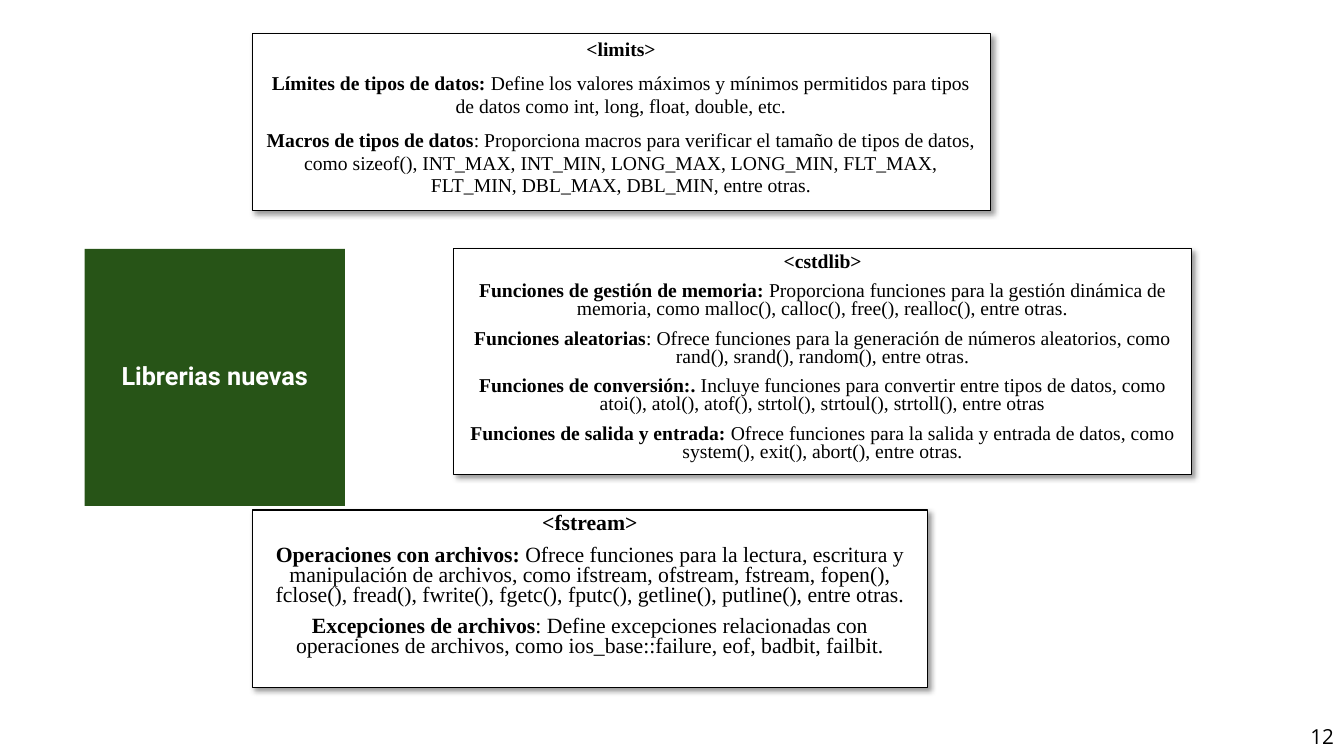
from lxml import etree
from pptx import Presentation
from pptx.dml.color import RGBColor
from pptx.enum import shapes, text
from pptx.oxml import ns
from pptx.util import Inches, Pt

COLORS = {"ink": "000000", "paper": "FFFFFF", "green": "275417"}
SERIF = "Times New Roman"
BOX_LEFT = 2.5
BOX_WIDTH = 7.32

LIBRARIES = [
    {
        "place": (BOX_LEFT, 0.33, BOX_WIDTH, 1.76),
        "size": 14,
        "spacing": 0.97,
        "entries": [
            ("<limits>", ""),
            ("Límites de tipos de datos: ",
             "Define los valores máximos y mínimos permitidos para tipos de datos "
             "como int, long, float, double, etc."),
            ("Macros de tipos de datos",
             ": Proporciona macros para verificar el tamaño de tipos de datos, como "
             "sizeof(), INT_MAX, INT_MIN, LONG_MAX, LONG_MIN, FLT_MAX, FLT_MIN, "
             "DBL_MAX, DBL_MIN, entre otras."),
        ],
    },
    {
        "place": (4.5, 2.47, BOX_WIDTH, 2.24),
        "size": 14,
        "spacing": 0.77,
        "entries": [
            ("<cstdlib>", ""),
            ("Funciones de gestión de memoria: ",
             "Proporciona funciones para la gestión dinámica de memoria, como "
             "malloc(), calloc(), free(), realloc(), entre otras."),
            ("Funciones aleatorias",
             ": Ofrece funciones para la generación de números aleatorios, como "
             "rand(), srand(), random(), entre otras."),
            ("Funciones de conversión:.",
             " Incluye funciones para convertir entre tipos de datos, como atoi(), "
             "atol(), atof(), strtol(), strtoul(), strtoll(), entre otras"),
            ("Funciones de salida y entrada: ",
             "Ofrece funciones para la salida y entrada de datos, como system(), "
             "exit(), abort(), entre otras."),
        ],
    },
    {
        "place": (BOX_LEFT, 5.06, 6.7, 1.76),
        "size": 15.5,
        "spacing": 0.77,
        "entries": [
            ("<fstream>", ""),
            ("Operaciones con archivos: ",
             "Ofrece funciones para la lectura, escritura y manipulación de archivos, "
             "como ifstream, ofstream, fstream, fopen(), fclose(), fread(), fwrite(), "
             "fgetc(), fputc(), getline(), putline(), entre otras."),
            ("Excepciones de archivos",
             ": Define excepciones relacionadas con operaciones de archivos, como "
             "ios_base::failure, eof, badbit, failbit."),
        ],
    },
]


def color(name):
    return RGBColor.from_string(COLORS[name])


def apply_format(target, values):
    for name, value in values.items():
        setattr(target, name, value)


def add_run(paragraph, content, font_name, size, color_name, bold=False):
    run = paragraph.add_run()
    run.text = content
    apply_format(run.font, {"name": font_name, "size": Pt(size), "bold": bold})
    run.font.color.rgb = color(color_name)


def add_rectangle(slide, place, fill_name):
    shape = slide.shapes.add_shape(
        shapes.MSO_SHAPE.RECTANGLE, *(Inches(length) for length in place))
    shape.shadow.inherit = False
    shape.fill.solid()
    shape.fill.fore_color.rgb = color(fill_name)
    shape.line.fill.background()
    return shape


def add_shadow(shape):
    effects = shape._element.spPr.find(ns.qn("a:effectLst"))
    shadow = etree.SubElement(
        effects, ns.qn("a:outerShdw"), blurRad=str(Pt(4)), dist=str(Pt(3)),
        dir=str(45 * 60000), algn="tl", rotWithShape="0")
    shade = etree.SubElement(shadow, ns.qn("a:srgbClr"), val=COLORS["ink"])
    etree.SubElement(shade, ns.qn("a:alpha"), val="40000")


def add_library_box(slide, place, size, spacing, entries):
    box = add_rectangle(slide, place, "paper")
    box.line.color.rgb = color("ink")
    box.line.width = Pt(0.75)
    add_shadow(box)
    frame = box.text_frame
    apply_format(frame, {"word_wrap": True, "vertical_anchor": text.MSO_ANCHOR.TOP})
    for index, (term, description) in enumerate(entries):
        paragraph = frame.add_paragraph() if index else frame.paragraphs[0]
        apply_format(paragraph, {"alignment": text.PP_ALIGN.CENTER,
                                 "line_spacing": spacing, "space_after": Pt(8)})
        add_run(paragraph, term, SERIF, size, "ink", bold=True)
        if description:
            add_run(paragraph, description, SERIF, size, "ink")


def add_title(slide):
    title = add_rectangle(slide, (0.84, 2.47, 2.58, 2.55), "green")
    apply_format(title.text_frame, {"word_wrap": True,
                                    "vertical_anchor": text.MSO_ANCHOR.MIDDLE})
    paragraph = title.text_frame.paragraphs[0]
    apply_format(paragraph, {"alignment": text.PP_ALIGN.CENTER, "line_spacing": 0.9})
    add_run(paragraph, "Librerias nuevas", "Roboto", 18, "paper", bold=True)


def add_page_number(slide):
    box = slide.shapes.add_textbox(Inches(12.87), Inches(7.1), Inches(0.46), Inches(0.4))
    apply_format(box.text_frame, {"word_wrap": False,
                                  "vertical_anchor": text.MSO_ANCHOR.MIDDLE})
    paragraph = box.text_frame.paragraphs[0]
    apply_format(paragraph, {"alignment": text.PP_ALIGN.RIGHT, "space_after": Pt(6)})
    add_run(paragraph, "12", "Open Sans", 14.8, "ink")


def main():
    presentation = Presentation()
    apply_format(presentation, {"slide_width": Inches(13.33), "slide_height": Inches(7.5)})
    slide = presentation.slides.add_slide(presentation.slide_layouts[6])
    add_title(slide)
    for library in LIBRARIES:
        add_library_box(slide, **library)
    add_page_number(slide)
    presentation.save("out.pptx")


if __name__ == "__main__":
    main()
